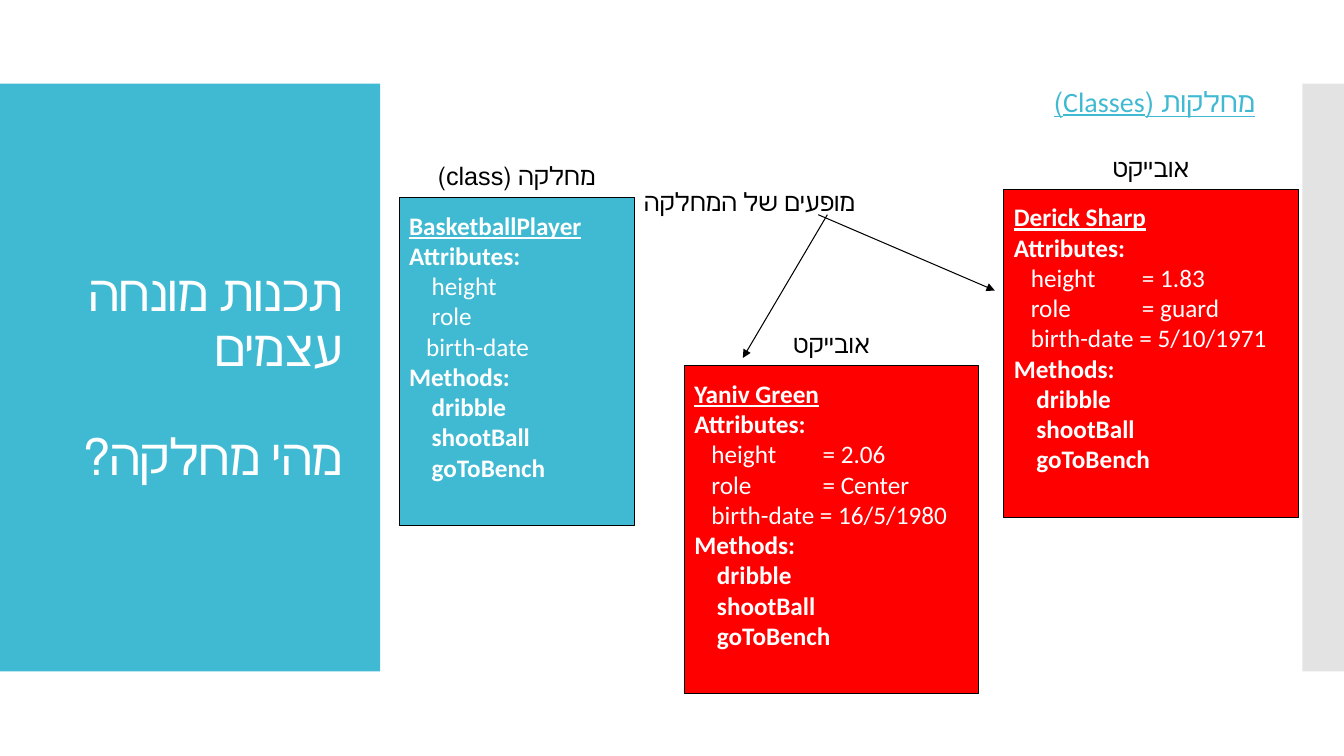
from lxml.etree import SubElement
from pptx import Presentation
from pptx.dml.color import RGBColor
from pptx.enum.shapes import MSO_CONNECTOR as Connector, MSO_SHAPE as Shape
from pptx.enum.text import MSO_ANCHOR as Anchor, PP_ALIGN as Align
from pptx.oxml.ns import qn
from pptx.util import Cm, Pt

TEAL = RGBColor(0x40, 0xBA, 0xD2)
RED = RGBColor(0xFF, 0x00, 0x00)
GREY = RGBColor(0xC8, 0xC8, 0xC8)
BLACK = RGBColor(0x00, 0x00, 0x00)
WHITE = RGBColor(0xFF, 0xFF, 0xFF)

deck = Presentation()
deck.slide_width, deck.slide_height = Cm(33.87), Cm(19.05)
page = deck.slides.add_slide(deck.slide_layouts[6])


def add_rectangle(place, fill, line=None):
    """Add a flat rectangle at place (left, top, width, height in cm)."""
    box = page.shapes.add_shape(Shape.RECTANGLE, *map(Cm, place))
    box.shadow.inherit = False
    box.fill.solid()
    box.fill.fore_color.rgb = fill
    if line is None:
        box.line.fill.background()
    else:
        box.line.color.rgb = line
        box.line.width = Pt(0.75)
    return box


def write(frame, lines, size, name, color, align=Align.LEFT, rtl=False):
    """Fill a text frame with (text, font settings, left indent in cm) lines."""
    frame.word_wrap = True
    for number, (text, style, indent) in enumerate(lines):
        para = frame.add_paragraph() if number else frame.paragraphs[0]
        para.alignment = align
        settings = para._p.get_or_add_pPr()
        settings.set("marL", str(Cm(indent)))
        settings.set("rtl", str(int(rtl)))
        span = para.add_run()
        span.text = text
        span.font.color.rgb = color
        for key, value in {"size": Pt(size), "name": name, **style}.items():
            setattr(span.font, key, value)


# Side panels
add_rectangle((0, 2.11, 9.58, 14.81), TEAL)
edge = add_rectangle((32.82, 2.11, 1.06, 14.81), GREY)
tint = edge.fill._xPr.find(qn("a:solidFill"))[0]
SubElement(tint, qn("a:alpha"), val="50000")

# Title and heading
title = page.shapes.add_textbox(Cm(0.71), Cm(3.12), Cm(8.18), Cm(12.78)).text_frame
title.vertical_anchor = Anchor.MIDDLE
title_lines = [("תכנות מונחה עצמים", {}, 0), ("מהי מחלקה?", {}, 0)]
write(title, title_lines, 36, "Calibri", WHITE, Align.RIGHT, True)
for para in title.paragraphs:
    para.line_spacing = 0.9
    para.runs[0].font._element.set("spc", "-60")
title.paragraphs[1].space_before = Pt(39)

heading = page.shapes.add_textbox(Cm(11.56), Cm(1.57), Cm(20.32), Cm(1.75)).text_frame
heading_lines = [("מחלקות (Classes)", {"underline": True}, 0)]
write(heading, heading_lines, 20, "Calibri", TEAL, Align.RIGHT, True)
heading.paragraphs[0].line_spacing = 1.5

# Class card and object cards, each with a label above
cards = [
    ((10.06, 4.98, 5.92), TEAL, "מחלקה (class)", "BasketballPlayer",
     [("height", 0.57), ("role", 0.57), ("birth-date", 0.43)]),
    ((25.3, 4.77, 7.42), RED, "אובייקט", "Derick Sharp",
     [("height\t= 1.83", 0.43), ("role\t= guard", 0.43), ("birth-date = 5/10/1971", 0.43)]),
    ((17.25, 9.22, 7.42), RED, "אובייקט", "Yaniv Green",
     [("height\t= 2.06", 0.43), ("role\t= Center", 0.43), ("birth-date = 16/5/1980", 0.43)]),
]
BOLD = {"bold": True}
methods = [(method, BOLD, 0.57) for method in ("dribble", "shootBall", "goToBench")]
for (left, top, width), fill, label, name, attributes in cards:
    frame = add_rectangle((left, top, width, 8.26), fill, BLACK).text_frame
    frame.vertical_anchor = Anchor.MIDDLE
    frame.margin_bottom = Cm(0.9)
    lines = [(name, {"bold": True, "underline": True}, 0), ("Attributes:", BOLD, 0)]
    lines += [(text, {}, indent) for text, indent in attributes]
    lines += [("Methods:", BOLD, 0), *methods]
    write(frame, lines, 18, "Calibri", WHITE)
    for para in frame.paragraphs:
        if "\t" in para.text:
            tabs = SubElement(para._p.get_or_add_pPr(), qn("a:tabLst"))
            SubElement(tabs, qn("a:tab"), pos=str(Cm(2.8)), algn="l")
    caption = page.shapes.add_textbox(Cm(left), Cm(top - 1.06), Cm(width), Cm(1.02))
    write(caption.text_frame, [(label, {}, 0)], 18, "Arial", BLACK, Align.CENTER, True)

# Instances caption with arrows to both objects
caption = page.shapes.add_textbox(Cm(15.98), Cm(4.57), Cm(8.46), Cm(1.02))
write(caption.text_frame, [("מופעים של המחלקה", {}, 0)], 18, "Arial", BLACK)
for ends in [(20.85, 5.41, 18.72, 9.02), (20.62, 5.41, 25.07, 7.32)]:
    arrow = page.shapes.add_connector(Connector.STRAIGHT, *map(Cm, ends))
    arrow.line.color.rgb = BLACK
    arrow.line.width = Pt(0.75)
    SubElement(arrow.line._get_or_add_ln(), qn("a:tailEnd"), type="triangle")
    SubElement(arrow._element.spPr, qn("a:effectLst"))

deck.save("out.pptx")
